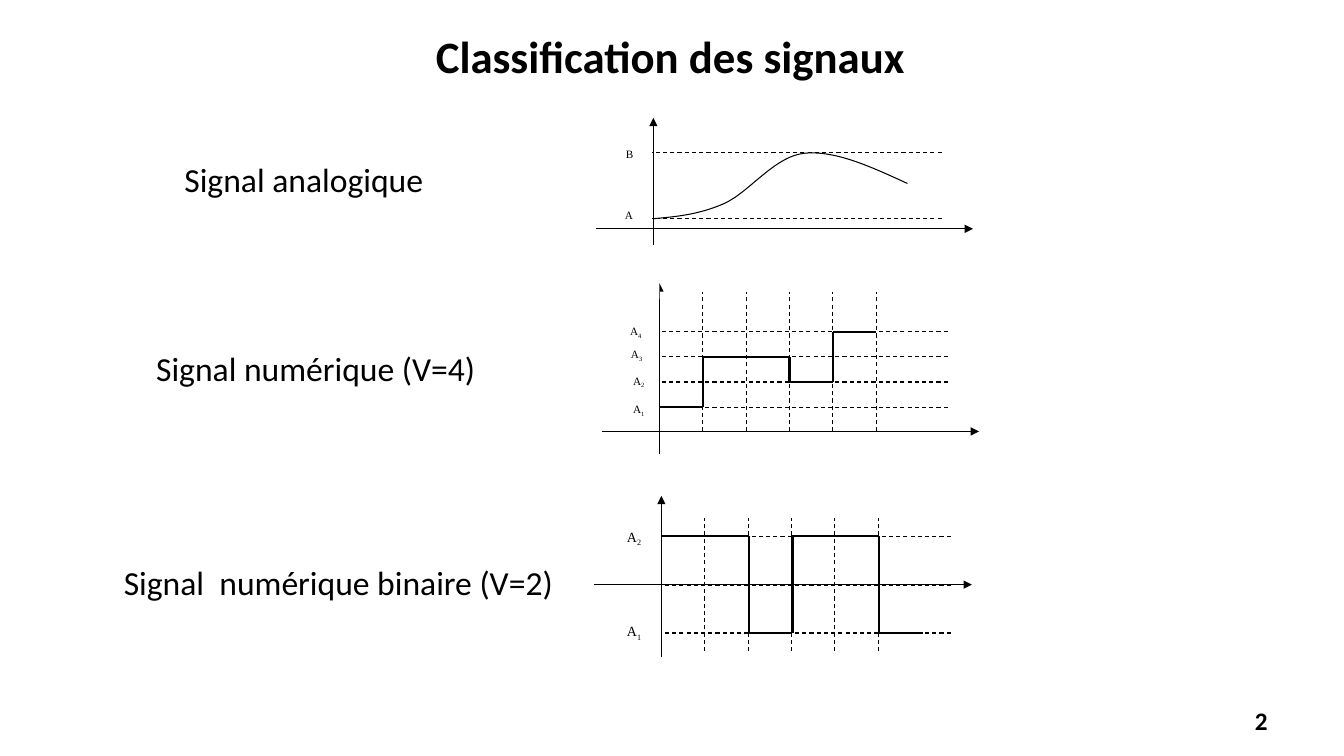
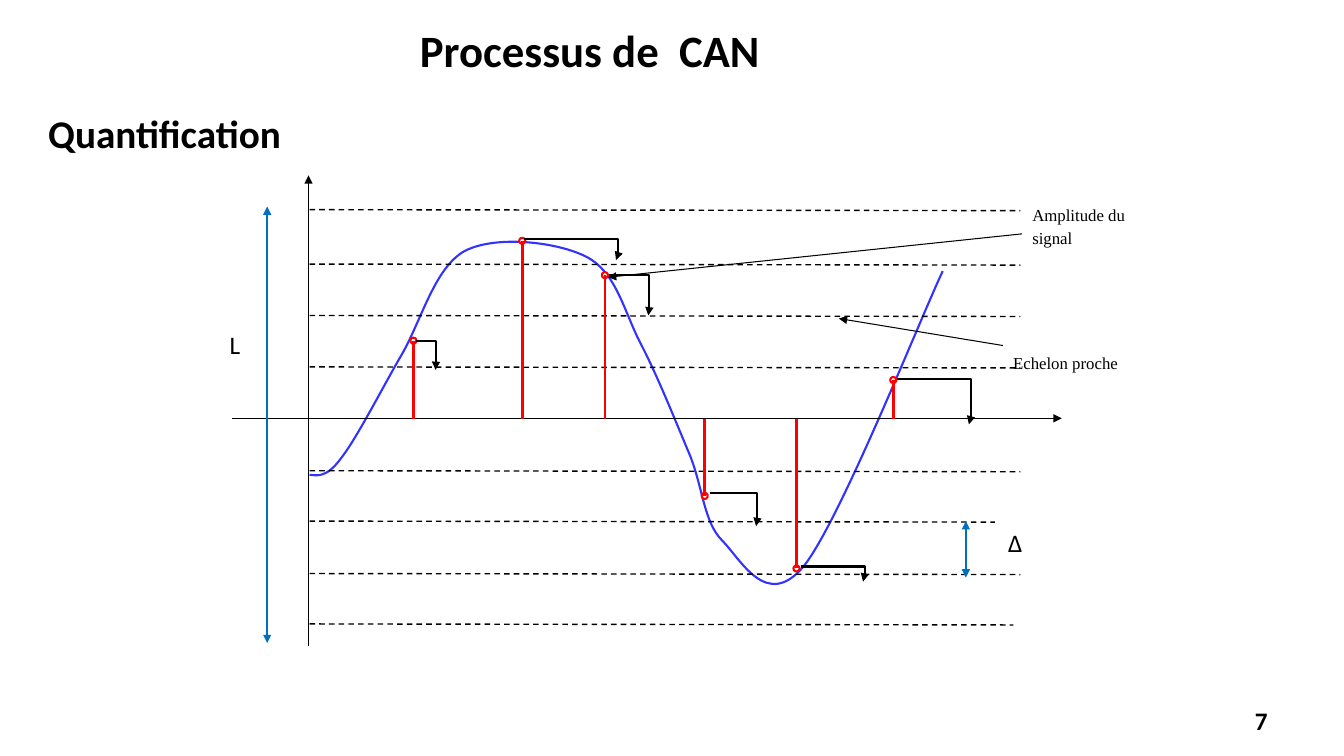
from itertools import pairwise
from lxml import etree
from pptx import Presentation
from pptx.dml.color import RGBColor as Rgb
from pptx.enum.dml import MSO_LINE as Dash
from pptx.enum.shapes import MSO_CONNECTOR as Con, MSO_SHAPE as Geo
from pptx.enum.text import MSO_ANCHOR as Anchor, PP_ALIGN as Align
from pptx.oxml.ns import qn
from pptx.util import Inches, Pt

INK = {"black": "000000", "white": "FFFFFF", "red": "FF0000",
       "curve": "3333FF", "blue": "0070C0"}
SANS, SERIF = "Calibri", "Times New Roman"
STEP = 0.43


def tint(name):
    return Rgb.from_string(INK[name])


def pen(shape, color, width):
    shape.line.color.rgb = tint(color)
    shape.line.width = Pt(width)


def tips(shape, head):
    line = shape.line._get_or_add_ln()
    for tag in ("headEnd", "tailEnd") if head else ("tailEnd",):
        etree.SubElement(line, qn("a:" + tag), type="triangle")


def link(slide, start, end, color="black", width=0.75, kind=Con.STRAIGHT):
    line = slide.shapes.add_connector(kind, *map(Inches, start + end))
    pen(line, color, width)
    etree.SubElement(line._element.spPr, qn("a:effectLst"))
    return line


def dash(slide, start, end, width=0.75):
    link(slide, start, end, width=width).line.dash_style = Dash.DASH


def arrow(slide, start, end, color="black", width=0.75, head=False):
    tips(link(slide, start, end, color, width), head)


def elbow(slide, start, end):
    line = link(slide, start, end, width=1.5, kind=Con.ELBOW)
    geom = line._element.spPr.find(qn("a:prstGeom"))
    guides = geom.find(qn("a:avLst"))
    if guides is None:
        guides = etree.SubElement(geom, qn("a:avLst"))
    etree.SubElement(guides, qn("a:gd"), name="adj1", fmla="val 102400")
    tips(line, False)


def curve(slide, points, color, width):
    first, *rest = [tuple(map(Inches, p)) for p in points]
    build = slide.shapes.build_freeform(*first)
    build.add_line_segments(rest, close=False)
    shape = build.convert_to_shape()
    shape.shadow.inherit = False
    shape.fill.background()
    pen(shape, color, width)
    lines = list(shape._element.iter(qn("a:lnTo")))
    for i in range(0, len(lines), 3):
        bend = etree.Element(qn("a:cubicBezTo"))
        lines[i].addprevious(bend)
        for line in lines[i:i + 3]:
            bend.append(line[0])
            line.getparent().remove(line)


def stair(slide, left, levels):
    for i, y in enumerate(levels):
        x = left + i * STEP
        link(slide, (x, y), (x + STEP, y), width=1.5)
    for i, (y, after) in enumerate(pairwise(levels), 1):
        if y != after:
            x = left + i * STEP
            link(slide, (x, min(y, after)), (x, max(y, after)), width=1.5)


def style(para, size, font, bold=False):
    for run in para.runs:
        run.font.size = Pt(size)
        run.font.name = font
        run.font.bold = bold
        run.font.color.rgb = tint("black")


def text(slide, words, box, size, bold=False, wrap=True, align=Align.LEFT,
         anchor=Anchor.TOP):
    frame = slide.shapes.add_textbox(*map(Inches, box)).text_frame
    frame.word_wrap = wrap
    frame.vertical_anchor = anchor
    frame.text = words
    para = frame.paragraphs[0]
    para.alignment = align
    style(para, size, SANS, bold)


def patch(slide, box, geo=Geo.RECTANGLE):
    shape = slide.shapes.add_shape(geo, *map(Inches, box))
    shape.shadow.inherit = False
    shape.fill.solid()
    shape.fill.fore_color.rgb = tint("white")
    shape.line.fill.background()
    return shape


def label(slide, words, box, size, sub="", space=1.0):
    frame = patch(slide, box).text_frame
    frame.vertical_anchor = Anchor.TOP
    frame.text = words
    para = frame.paragraphs[0]
    para.alignment = Align.LEFT
    para.line_spacing = space
    if sub:
        run = para.add_run()
        run.text = sub
        run._r.get_or_add_rPr().set("baseline", "-25000")
    style(para, size, SERIF)


def frame(deck, title, box, number):
    slide = deck.slides.add_slide(deck.slide_layouts[6])
    text(slide, title, box, 32, True, align=Align.CENTER, anchor=Anchor.MIDDLE)
    text(slide, number, (9.56, 6.95, 3.11, 0.4), 18, True,
         align=Align.RIGHT, anchor=Anchor.MIDDLE)
    return slide


def grid(slide, left, right, rows, top=0, base=0, count=0):
    for y in rows:
        dash(slide, (right, y), (left, y))
    for i in range(1, count + 1):
        x = left + i * STEP
        dash(slide, (x, base), (x, top))


def axes(slide, x, y, top, base, left, right):
    arrow(slide, (x, base), (x, top))
    arrow(slide, (left, y), (right, y))


def analog(slide):
    text(slide, "Signal analogique", (1.73, 1.53, 2.59, 0.5), 24, wrap=False)
    grid(slide, 6.47, 9.34, (1.51, 2.17))
    curve(slide, [(6.48, 2.17), (6.7, 2.15), (6.93, 2.13), (7.18, 2.02),
                  (7.43, 1.91), (7.68, 1.55), (7.98, 1.52),
                  (8.29, 1.49), (8.65, 1.66), (9, 1.82)], "black", 0.75)
    axes(slide, 6.48, 2.27, 1.17, 2.43, 5.91, 9.65)
    for name, x, y in (("B", 6.11, 1.41), ("A", 6.1, 2.02)):
        label(slide, name, (x, y, 0.3, 0.21), 8)
    patch(slide, (5.87, 1.09, 0.53, 0.34))
    patch(slide, (9.7, 2.07, 0.32, 0.22))


def digital(slide):
    text(slide, "Signal numérique (V=4)", (1.45, 3.4, 3.4, 0.5), 24, wrap=False)
    for sub, x, y in (("1", 6.18, 3.94), ("2", 6.18, 3.66),
                      ("3", 6.16, 3.4), ("4", 6.15, 3.17)):
        label(slide, "A", (x, y, 0.32, 0.23), 8, sub)
    rows = [4.04 - 0.25 * i for i in range(4)]
    stair(slide, 6.54, [rows[i] for i in (0, 2, 2, 1, 3)])
    grid(slide, 6.54, 9.4, rows, 2.9, 4.28, 5)
    axes(slide, 6.54, 4.28, 2.81, 4.5, 5.97, 9.71)
    patch(slide, (6.01, 2.66, 0.53, 0.31))
    patch(slide, (9.78, 3.93, 0.32, 0.25))


def binary(slide):
    text(slide, "Signal  numérique binaire (V=2)", (1.13, 5.53, 4.57, 0.5), 24,
         wrap=False)
    axes(slide, 6.56, 5.8, 4.92, 6.52, 5.89, 9.64)
    high, low = 5.32, 6.28
    grid(slide, 6.56, 9.43, (low, 5.81, high), 5.14, 6.46, 5)
    stair(slide, 6.57, (high, high, low, high, high, low))
    patch(slide, (5.97, 4.94, 0.49, 0.27))
    patch(slide, (9.23, 5.85, 0.32, 0.27))
    for sub, y, tall in (("1", 6.13, 0.33), ("2", 5.19, 0.29)):
        label(slide, "A", (6.12, y, 0.42, tall), 10, sub)


def sample(slide, x, y, start, end):
    side = 0.06
    dot = patch(slide, (x - side / 2, y - side / 2, side, side), Geo.OVAL)
    pen(dot, "red", 1.5)
    link(slide, (x, 4.16), (x, y), "red", 2)
    elbow(slide, start, end)


def quant(slide):
    text(slide, "Quantification", (0.38, 1.04, 2.82, 0.57), 28, True)
    curve(slide, [(3.07, 4.71), (3.15, 4.72), (3.24, 4.74), (3.38, 4.55),
                  (3.53, 4.36), (3.76, 3.91), (3.96, 3.56),
                  (4.17, 3.22), (4.3, 2.66), (4.61, 2.49),
                  (4.92, 2.33), (5.53, 2.4), (5.82, 2.55),
                  (6.12, 2.71), (6.19, 3.1), (6.36, 3.42),
                  (6.53, 3.75), (6.7, 4.18), (6.84, 4.51),
                  (6.97, 4.83), (6.98, 5.18), (7.16, 5.36),
                  (7.35, 5.55), (7.6, 6.06), (7.97, 5.62),
                  (8.33, 5.17), (9.12, 3.18), (9.35, 2.69)], "curve", 1.5)
    axes(slide, 3.06, 4.15, 1.74, 6.41, 1.95, 10.53)
    arrow(slide, (10.14, 2.32), (6.03, 2.75))
    label(slide, "Amplitude du signal", (10.14, 1.95, 1.43, 0.73), 12, space=1.15)
    arrow(slide, (10.02, 3.44), (8.32, 3.16))
    label(slide, "Echelon proche", (9.95, 3.42, 1.64, 0.39), 12, space=1.15)
    for box in ((2.02, 5.92, 0.93, 0.78), (1.78, 3.9, 0.52, 0.43),
                (2.02, 1.84, 0.88, 0.51)):
        patch(slide, box)
    for y in (2.08, 2.62, 3.13, 3.64, 4.67, 5.17, 5.69, 6.19):
        dash(slide, (3.07, y), (10.05 if y > 6 else 10.12, y + 0.01), 1)
    patch(slide, (9.87, 5.04, 0.55, 0.43))
    for spot in ((4.1, 3.38, (4.13, 3.38), (4.32, 3.67)),
                 (5.18, 2.39, (5.2, 2.37), (6.11, 2.58)),
                 (6, 2.73, (6.04, 2.73), (6.43, 3.13)),
                 (6.99, 4.92, (7.04, 4.89), (7.5, 5.22)),
                 (7.9, 5.64, (7.94, 5.62), (8.56, 5.77)),
                 (8.86, 3.77, (8.9, 3.76), (9.61, 4.21))):
        sample(slide, *spot)
    for x, top, base in ((2.65, 2.05, 6.38), (9.58, 5.17, 5.73)):
        arrow(slide, (x, top), (x, base), "blue", 1.5, True)
    text(slide, "L", (2.18, 3.22, 0.31, 0.4), 18)
    text(slide, "Δ", (9.9, 5.18, 0.63, 0.4), 18)


def main():
    deck = Presentation()
    deck.slide_width, deck.slide_height = Inches(13.33), Inches(7.5)
    kinds = frame(deck, "Classification des signaux", (4.15, 0.23, 5, 0.64), "2")
    for draw in (analog, digital, binary):
        draw(kinds)
    quant(frame(deck, "Processus de  CAN", (3.61, 0.17, 4.48, 0.64), "7"))
    deck.save("out.pptx")


if __name__ == "__main__":
    main()
